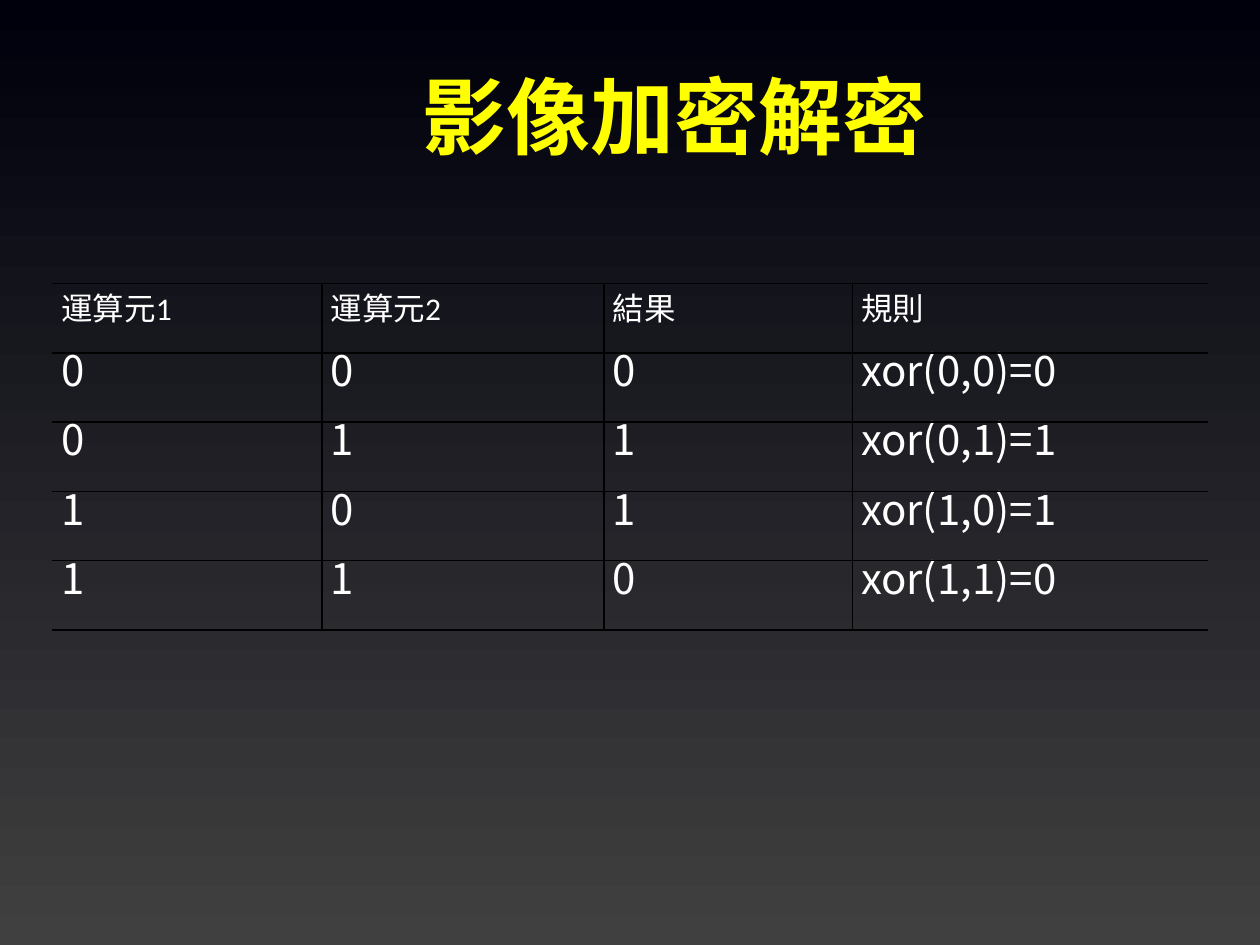
from dataclasses import dataclass
from itertools import product

from lxml import etree
from pptx import Presentation
from pptx.dml.color import RGBColor
from pptx.enum import text
from pptx.oxml import ns
from pptx.util import Pt


@dataclass(frozen=True)
class Theme:
    sky: str = "00000C"
    base: str = "404040"
    head: str = "FFFF00"
    ink: str = "FFFFFF"
    rule: str = "000000"
    sans: str = "Noto Sans CJK SC"
    label: str = "Calibri"
    big: float = 48
    mid: float = 24
    small: float = 18


@dataclass(frozen=True)
class Style:
    face: str
    size: float
    color: str
    bold: bool = False


THEME = Theme()
TITLE = Style(THEME.sans, THEME.big, THEME.head, True)
LABEL = Style(THEME.label, THEME.small, THEME.ink)
VALUE = Style(THEME.sans, THEME.mid, THEME.ink)

COLS = (154, 161.3, 141.8, 203)
ROW = 39.6
HEADS = ("運算元1", "運算元2", "結果", "規則")


def set_font(para, style: Style) -> None:
    font = para.font
    font.name, font.size, font.bold = style.face, Pt(style.size), style.bold
    font.color.rgb = RGBColor.from_string(style.color)


def add_edges(cell, sides: str) -> None:
    """Rule the named sides (of L, R, T, B) and leave the others bare."""
    props = cell._tc.get_or_add_tcPr()
    for spot, side in enumerate("LRTB"):
        line = etree.Element(ns.qn(f"a:ln{side}"), w=str(Pt(1)))
        if side in sides:
            fill = etree.SubElement(line, ns.qn("a:solidFill"))
            etree.SubElement(fill, ns.qn("a:srgbClr"), val=THEME.rule)
        else:
            etree.SubElement(line, ns.qn("a:noFill"))
        props.insert(spot, line)


def fill_cell(cell, words: str, style: Style, sides: str) -> None:
    cell.fill.background()
    cell.vertical_anchor = text.MSO_ANCHOR.MIDDLE
    cell.margin_left = cell.margin_right = Pt(5.04)
    cell.margin_top = cell.margin_bottom = 0
    cell.text = words
    para = cell.text_frame.paragraphs[0]
    para.line_spacing = Pt(13)
    set_font(para, style)
    add_edges(cell, sides)


def add_title(slide, words: str) -> None:
    title = slide.shapes.title
    title.left, title.top = Pt(234), Pt(23.76)
    title.width, title.height = Pt(324), Pt(77.76)
    frame = title.text_frame
    frame.text = words
    frame.auto_size = text.MSO_AUTO_SIZE.NONE
    frame.vertical_anchor = text.MSO_ANCHOR.BOTTOM
    frame.margin_left = frame.margin_right = Pt(7.2)
    frame.margin_top = frame.margin_bottom = Pt(7.2)
    para = frame.paragraphs[0]
    para.alignment = text.PP_ALIGN.LEFT
    set_font(para, TITLE)


def add_truth(slide) -> None:
    rows = [HEADS] + [
        (str(a), str(b), str(a ^ b), f"xor({a},{b})={a ^ b}")
        for a, b in product((0, 1), repeat=2)
    ]
    table = slide.shapes.add_table(
        len(rows), len(COLS), Pt(30), Pt(162), Pt(sum(COLS)), Pt(ROW * len(rows))
    ).table
    table.first_row = table.horz_banding = False
    for col, width in zip(table.columns, COLS):
        col.width = Pt(width)
    for r, row in enumerate(rows):
        table.rows[r].height = Pt(ROW)
        for c, words in enumerate(row):
            sides = "TB" + "L" * (c > 0) + "R" * (c < len(COLS) - 1)
            fill_cell(table.cell(r, c), words, VALUE if r else LABEL, sides)


def main() -> None:
    deck = Presentation()
    deck.slide_width, deck.slide_height = Pt(720), Pt(540)
    slide = deck.slides.add_slide(deck.slide_layouts[5])

    # Background, light at the foot
    fill = slide.background.fill
    fill.gradient()
    fill.gradient_angle = 90
    for stop, color in zip(fill.gradient_stops, (THEME.base, THEME.sky)):
        stop.color.rgb = RGBColor.from_string(color)

    # Title and truth table
    add_title(slide, "影像加密解密")
    add_truth(slide)
    deck.save("out.pptx")


if __name__ == "__main__":
    main()
